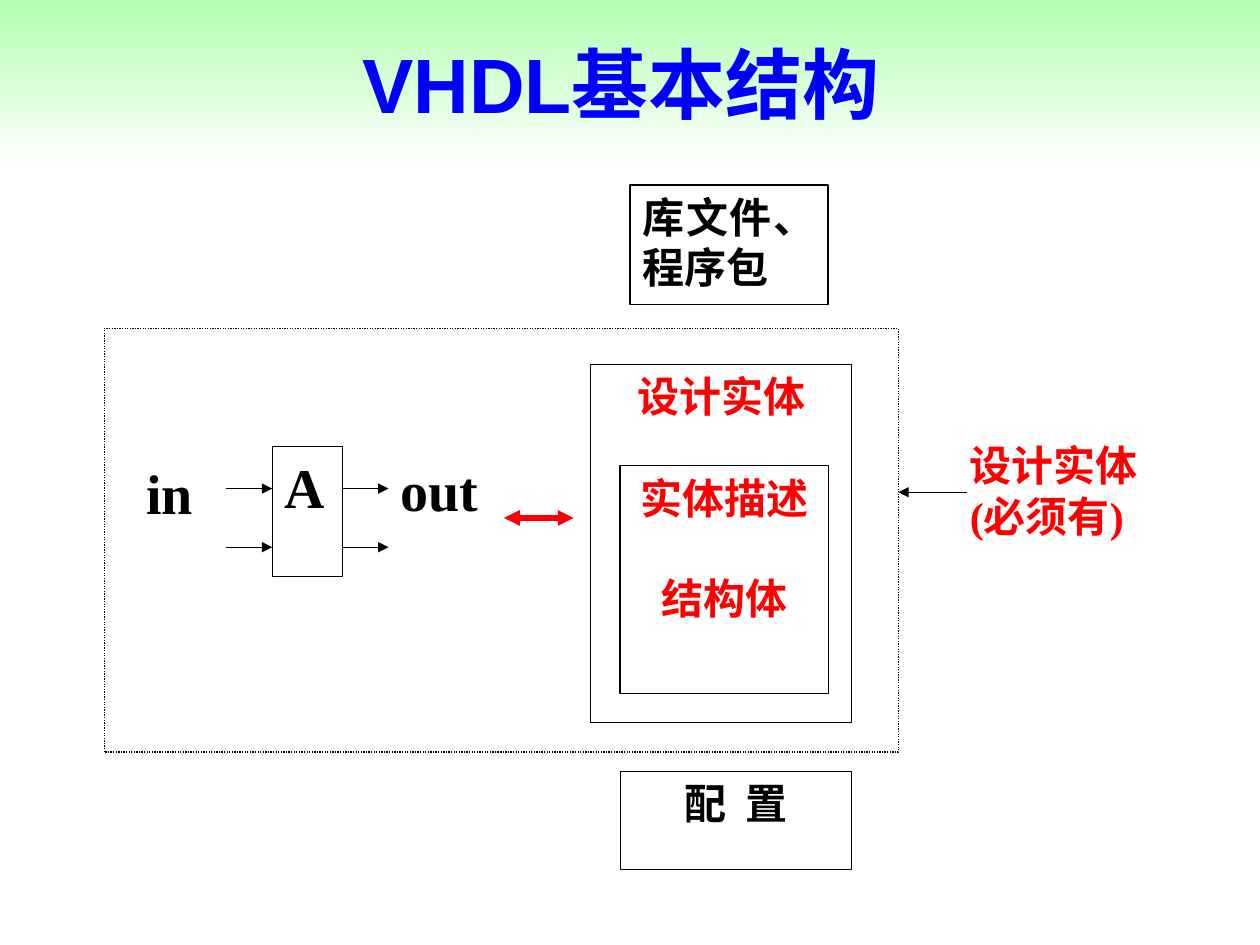
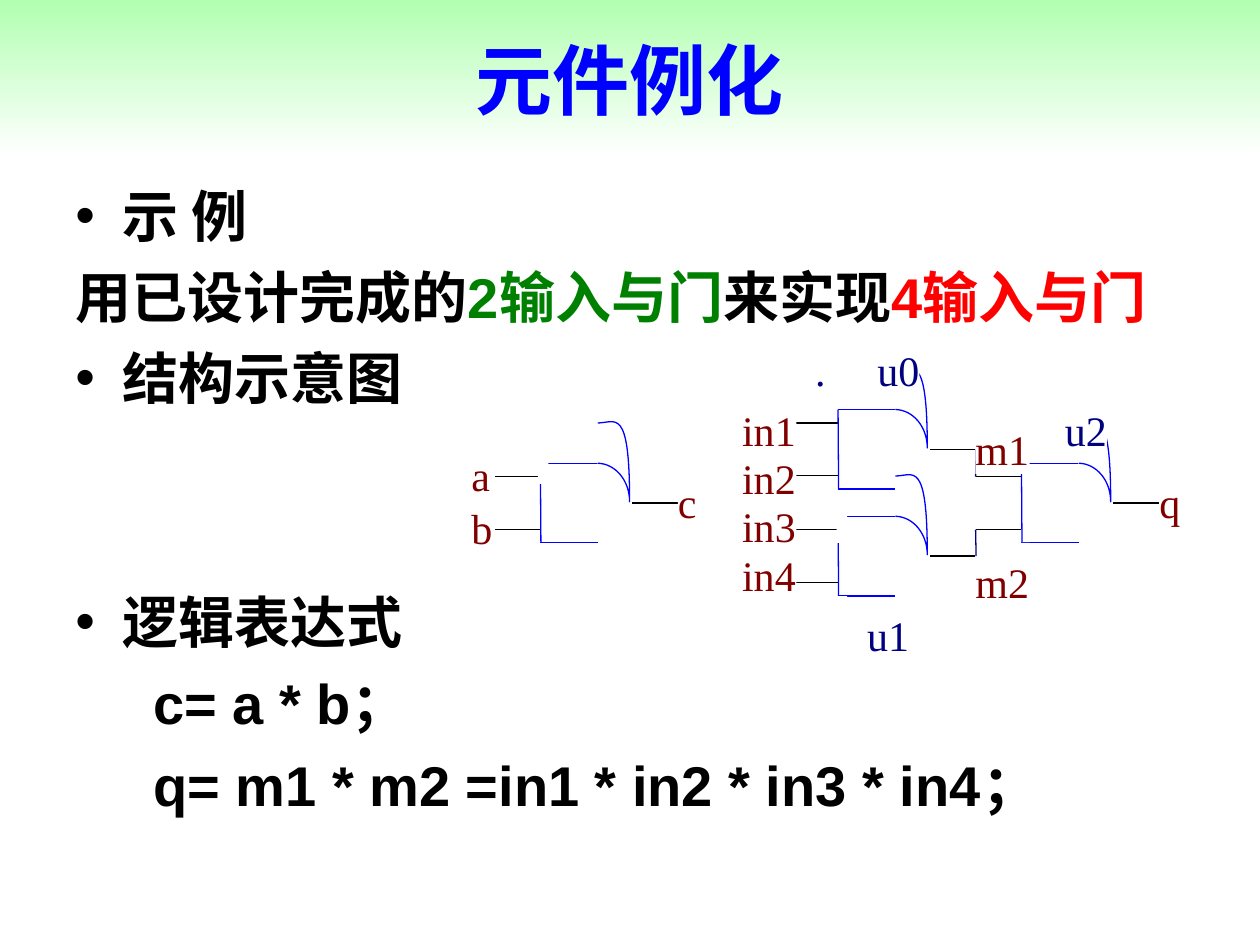
import lxml.etree
import pptx
import pptx.dml.color
import pptx.enum.dml
import pptx.enum.shapes
import pptx.enum.text
import pptx.oxml.ns
import pptx.util

Pt = pptx.util.Pt
Align = pptx.enum.text.PP_ALIGN
qn = pptx.oxml.ns.qn
rgb = pptx.dml.color.RGBColor.from_string

BLACK, WHITE, RED, GREEN = "000000", "FFFFFF", "FF0000", "008000"
BLUE, NAVY, MAROON, BAND = "0000FF", "000080", "800000", "B1FFB1"
SANS, SERIF = "Arial", "Times New Roman"


def add_box(slide, bounds, lines=(), size=24, color=BLACK, bold=True, font=SERIF,
            align=Align.JUSTIFY, fill=None, outline=None, gap=0):
    """Add a rectangle with one paragraph per line and gap points between them."""
    shape = slide.shapes.add_shape(pptx.enum.shapes.MSO_SHAPE.RECTANGLE, *map(Pt, bounds))
    shape.shadow.inherit = False
    if fill:
        shape.fill.solid()
        shape.fill.fore_color.rgb = rgb(fill)
    else:
        shape.fill.background()
    if outline:
        shape.line.color.rgb = rgb(outline)
        shape.line.width = Pt(0.75)
    else:
        shape.line.fill.background()
    frame = shape.text_frame
    frame.word_wrap = True
    frame.vertical_anchor = pptx.enum.text.MSO_ANCHOR.TOP
    frame.margin_left = frame.margin_right = Pt(7.2)
    frame.margin_top = frame.margin_bottom = Pt(3.6)
    for index, line in enumerate(lines):
        paragraph = frame.add_paragraph() if index else frame.paragraphs[0]
        paragraph.text = line
        paragraph.alignment = align
        if index and gap:
            paragraph.space_before = Pt(gap)
        paragraph.font.size = Pt(size)
        paragraph.font.name = font
        paragraph.font.bold = bold
        paragraph.font.color.rgb = rgb(color)
    return shape


def add_line(slide, ends, color=BLACK, width=0.75, arrows=()):
    """Add a straight line; arrows names the ends (headEnd, tailEnd) with a triangle."""
    connector = slide.shapes.add_connector(
        pptx.enum.shapes.MSO_CONNECTOR.STRAIGHT, *map(Pt, ends))
    connector.line.color.rgb = rgb(color)
    connector.line.width = Pt(width)
    properties = connector._element.spPr
    for arrow in arrows:
        end = lxml.etree.SubElement(properties.find(qn("a:ln")), qn("a:" + arrow))
        end.set("type", "triangle")
    lxml.etree.SubElement(properties, qn("a:effectLst"))


presentation = pptx.Presentation()
presentation.slide_width, presentation.slide_height = Pt(720), Pt(540)

# Both slides: title on a green band fading to white
slides = []
for title, band_height in (("VHDL基本结构 ", 94.5), ("元件例化", 90)):
    slide = presentation.slides.add_slide(presentation.slide_layouts[6])
    band = add_box(slide, (0, 0, 720, band_height), [title], 44, BLUE, font=SANS,
                   align=Align.CENTER)
    band.text_frame.vertical_anchor = pptx.enum.text.MSO_ANCHOR.MIDDLE
    band.fill.gradient()
    band.fill.gradient_angle = 270
    for stop, color in zip(band.fill.gradient_stops, (BAND, WHITE)):
        stop.color.rgb = rgb(color)
    slides.append(slide)
structure, instantiation = slides

# Slide 1: parts of a VHDL design
add_box(structure, (360, 105.7, 113.2, 68.2), ["库文件、程序包"], outline=BLACK)
add_box(structure, (337.6, 208.2, 149, 204.8), ["设计实体"], color=RED,
        align=Align.CENTER, outline=BLACK)
add_box(structure, (354.3, 266.2, 119, 130.2), ["实体描述", "结构体"], color=RED,
        align=Align.CENTER, outline=BLACK, gap=28.6)
configuration = add_box(structure, (354.4, 440.8, 132.4, 56), ["配 置"],
                        align=Align.CENTER, outline=BLACK)
configuration.text_frame.paragraphs[0].runs[0]._r.get_or_add_rPr().set("spc", "300")
entity_frame = add_box(structure, (59.6, 187.7, 453.7, 242.1), outline=BLACK)
entity_frame.line.dash_style = pptx.enum.dml.MSO_LINE.ROUND_DOT

add_box(structure, (155.7, 255.2, 40, 74.2), ["A"], 32, outline=BLACK)
for y in (279.2, 312.7):
    for x in (129.4, 195.8):
        add_line(structure, (x, y, x + 26.2, y), arrows=["tailEnd"])
add_box(structure, (76.5, 258.7, 45.4, 56), ["in"], 32)
add_box(structure, (221.8, 257, 64, 56), ["out"], 32)
add_line(structure, (288, 296, 327.8, 296), RED, 3, ["headEnd", "tailEnd"])
add_box(structure, (547.2, 247.7, 115.2, 86.4), ["设计实体", "(必须有)"], color=RED)
add_line(structure, (552.8, 281.3, 513.3, 281.3), arrows=["tailEnd"])

# Slide 2: text, as (left margin, bullet, space before, coloured runs)
body_lines = [
    (27, True, 0, [("示 例", BLACK)]),
    (0, False, 8, [("用已设计完成的", BLACK), ("2输入与门", GREEN),
                   ("来实现", BLACK), ("4输入与门", RED)]),
    (27, True, 8, [("结构示意图", BLACK)]),
    (27, True, 101, [("逻辑表达式", BLACK)]),
    (44.5, False, 8, [("c= a * b；", BLACK)]),
    (44.5, False, 8, [("q= m1 * m2 =in1 * in2 * in3 * in4；", BLACK)]),
]
body = instantiation.shapes.add_textbox(Pt(36), Pt(100.1), Pt(669.6), Pt(382.3)).text_frame
body.word_wrap = True
for index, (margin, bullet, space, runs) in enumerate(body_lines):
    paragraph = body.add_paragraph() if index else body.paragraphs[0]
    properties = paragraph._p.get_or_add_pPr()
    properties.set("marL", str(Pt(margin)))
    properties.set("indent", str(Pt(-27 if bullet else 0)))
    if bullet:
        lxml.etree.SubElement(properties, qn("a:buFont")).set("typeface", SANS)
        lxml.etree.SubElement(properties, qn("a:buChar")).set("char", "•")
    if space:
        paragraph.space_before = Pt(space)
    paragraph.font.size = Pt(32)
    paragraph.font.name = SANS
    paragraph.font.bold = True
    for text, color in runs:
        run = paragraph.add_run()
        run.text = text
        run.font.color.rgb = rgb(color)

add_box(instantiation, (263.5, 210.2, 404.6, 179.3), fill=WHITE)

# AND gate front in hundredths of a point: one stroked path, one filled path
front_width, front_height = 1870, 4390
front_curves = [
    ("moveTo", [(40, 0)]),
    ("cubicBezTo", [(1060, 30), (1860, 1000), (1860, 2200)]),
    ("cubicBezTo", [(1860, -3300), (1060, -2310), (40, -2300)]),
]
front_closing = [("lnTo", [(0, 2200)]), ("lnTo", [(40, 0)]), ("close", [])]
front_paths = [({"fill": "none"}, front_curves),
               ({"stroke": "0"}, front_curves + front_closing)]

for x, y in ((478.9, 234), (478.9, 295), (583.7, 264.7), (308.8, 264.7)):
    for pin in (7.7, 37.9):
        add_line(instantiation, (x, y + pin, x - 26, y + pin))
    add_line(instantiation, (x + 52.5, y + 22.8, x + 78.5, y + 22.8))
    add_line(instantiation, (x, y, x + 0.3, y + 45.5), BLUE)
    for edge in (y + 45.5, y):
        add_line(instantiation, (x, edge, x + 32.7, edge), BLUE)
    left, top = x + 32.4, y
    right, bottom = left + front_width / 100, top + front_height / 100
    builder = instantiation.shapes.build_freeform(Pt(left), Pt(top))
    builder.add_line_segments([(Pt(right), Pt(top)), (Pt(right), Pt(bottom))])
    gate_front = builder.convert_to_shape()
    gate_front.shadow.inherit = False
    gate_front.fill.solid()
    gate_front.fill.fore_color.rgb = rgb(WHITE)
    gate_front.line.color.rgb = rgb(BLUE)
    gate_front.line.width = Pt(0.75)
    path_list = gate_front._element.spPr.find(qn("a:custGeom")).find(qn("a:pathLst"))
    path_list.remove(path_list[0])
    for attributes, commands in front_paths:
        outline = lxml.etree.SubElement(path_list, qn("a:path"), attributes)
        outline.set("w", str(front_width))
        outline.set("h", str(front_height))
        for command, points in commands:
            segment = lxml.etree.SubElement(outline, qn("a:" + command))
            for px, py in points:
                lxml.etree.SubElement(segment, qn("a:pt"), {"x": str(px), "y": str(py)})

# Wires joining the first two gates to the third
for gate_input, gate_output in ((272.4, 256.8), (302.6, 317.8)):
    add_line(instantiation, (557.5, gate_input, 557.8, gate_output), NAVY)

# White patches at the gate corners
for left, top, width in ((478.1, 281.5, 6), (478.1, 340.6, 6), (582.5, 310.3, 6),
                         (307.4, 247.7, 6), (307.4, 311.8, 6), (387.4, 302.4, 12)):
    add_box(instantiation, (left, top, width, 28.8), fill=WHITE)

# Labels on white patches
signals = [("in%d" % (row + 1), 424.1, 231.1 + 27.6 * row, 31) for row in range(4)]
signals += [("m1", 557.4, 242, 31), ("m2", 557.4, 318.2, 31), ("q", 662.5, 272.2, 12),
            ("a", 269.3, 257, 10.7), ("b", 269.3, 287.3, 12), ("c", 387.4, 272.2, 10.7)]
instances = [(" u0", 495.4, 196.6, 30), (" u1", 489.6, 348.5, 30),
             (" u2", 602.6, 231.1, 30), (".", 465.8, 196.6, 6)]
for labels, color in ((signals, MAROON), (instances, NAVY)):
    for text, left, top, width in labels:
        label = add_box(instantiation, (left, top, width, 28.8), [text], color=color,
                        bold=False, fill=WHITE)
        frame = label.text_frame
        frame.margin_left = frame.margin_right = 0
        frame.margin_top = frame.margin_bottom = 0
        frame.word_wrap = False
        frame.auto_size = pptx.enum.text.MSO_AUTO_SIZE.SHAPE_TO_FIT_TEXT

presentation.save("out.pptx")
